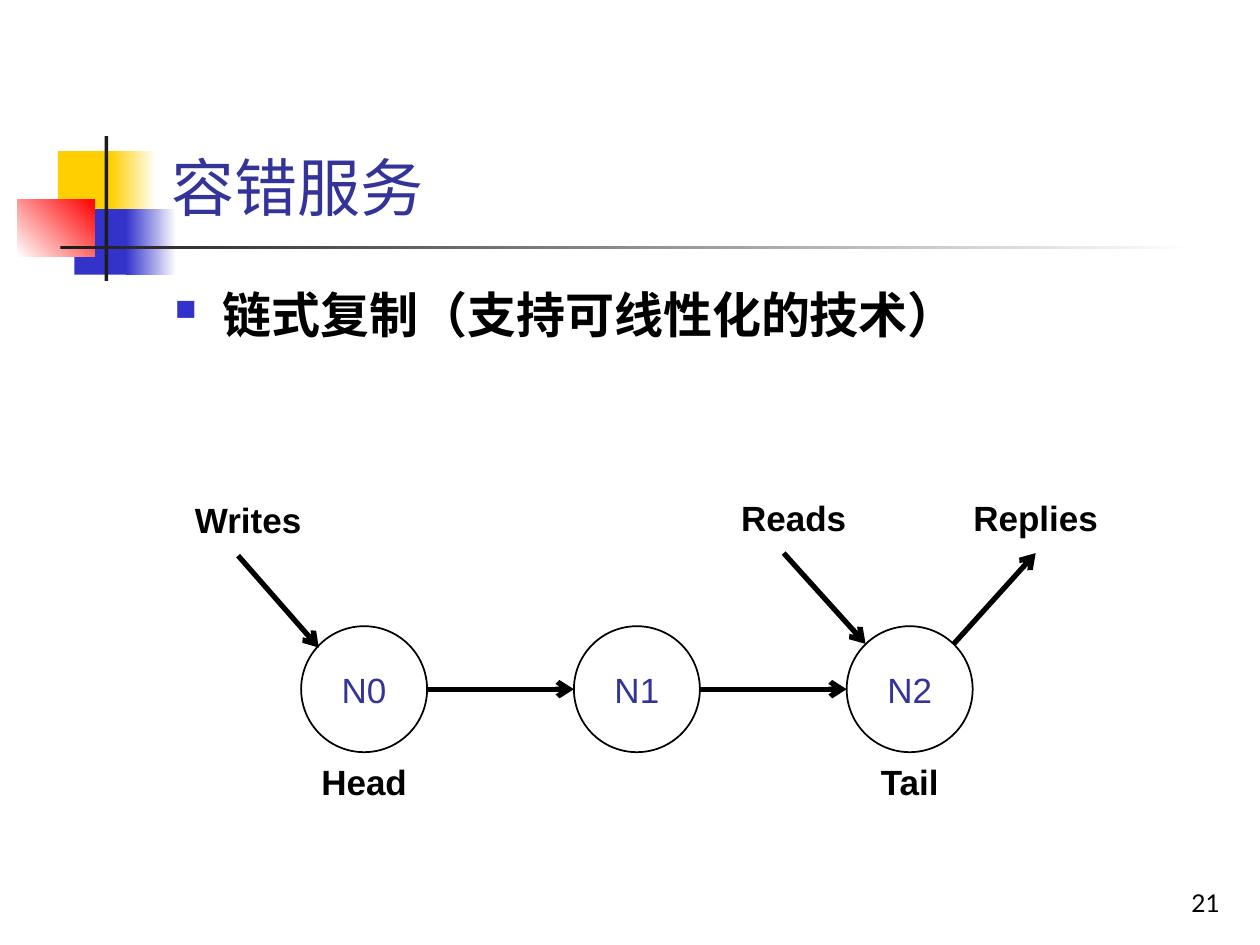
"""Build the chain replication slide."""
from lxml import etree
from pptx import Presentation
from pptx.dml.color import RGBColor
from pptx.enum.shapes import MSO_CONNECTOR, MSO_SHAPE
from pptx.enum.text import MSO_ANCHOR, PP_ALIGN
from pptx.oxml.ns import qn
from pptx.util import Inches, Pt

RECT, OVAL = MSO_SHAPE.RECTANGLE, MSO_SHAPE.OVAL
STRAIGHT = MSO_CONNECTOR.STRAIGHT
TOP, MIDDLE, BOTTOM = MSO_ANCHOR.TOP, MSO_ANCHOR.MIDDLE, MSO_ANCHOR.BOTTOM
LEFT, CENTER, RIGHT = PP_ALIGN.LEFT, PP_ALIGN.CENTER, PP_ALIGN.RIGHT

BLACK = RGBColor(0x00, 0x00, 0x00)
WHITE = RGBColor(0xFF, 0xFF, 0xFF)
YELLOW = RGBColor(0xFF, 0xCF, 0x01)
BLUE = RGBColor(0x33, 0x33, 0xCC)
RED = RGBColor(0xFF, 0x00, 0x00)
DARK = RGBColor(0x1C, 0x1C, 0x1C)
NAVY = RGBColor(0x33, 0x33, 0x99)

TITLE = "容错服务"
BULLET = "链式复制（支持可线性化的技术）"
PAGE = "21"
DECOR = [
    ((0.46, 1.2, 0.48, 0.52), (YELLOW,), 0),
    ((0.88, 1.2, 0.36, 0.52), (YELLOW, WHITE), 0),
    ((0.59, 1.66, 0.46, 0.52), (BLUE,), 0),
    ((1, 1.66, 0.4, 0.52), (BLUE, WHITE), 0),
    ((0.14, 1.58, 0.61, 0.46), (WHITE, RED), 45),
    ((0.83, 1.08, 0.03, 1.15), (DARK,), 0),
    ((0.48, 1.95, 9, 0.03), (DARK, WHITE), 0),
]
NODES = ["N0", "N1", "N2"]
NODE_X, NODE_Y, NODE_SIZE, NODE_STEP = 2.39, 4.97, 1, 2.165
LABEL_W, LABEL_H = 1.5, 0.44
ROLES = {0: "Head", 2: "Tail"}
ROLE_Y = 5.99
REQUESTS = [("Writes", 1.22, 3.91), ("Reads", 5.55, 3.89), ("Replies", 7.47, 3.89)]
DIAGONALS = [
    ((1.89, 4.41), (2.53, 5.14)),
    ((6.22, 4.39), (6.87, 5.11)),
    ((7.57, 5.11), (8.22, 4.39)),
]


def add_shape(s, kind, box, colors, angle=0):
    sp = s.shapes.add_shape(kind, *map(Inches, box))
    sp.shadow.inherit = False
    sp.line.fill.background()
    if len(colors) == 1:
        sp.fill.solid()
        sp.fill.fore_color.rgb = colors[0]
    else:
        sp.fill.gradient()
        sp.fill.gradient_angle = angle
        for stop, color, pos in zip(sp.fill.gradient_stops, colors, (0, 1)):
            stop.color.rgb = color
            stop.position = pos
    return sp


def write(sp, text, size, color, font="Arial", bold=False, align=CENTER, anchor=TOP):
    tf = sp.text_frame
    tf.word_wrap = True
    tf.vertical_anchor = anchor
    p = tf.paragraphs[0]
    p.alignment = align
    r = p.add_run()
    r.text = text
    r.font.size = Pt(size)
    r.font.name = font
    r.font.bold = bold
    r.font.color.rgb = color
    return p


def add_text(s, box, text, size, color, **style):
    sp = s.shapes.add_textbox(*map(Inches, box))
    return write(sp, text, size, color, **style)


def add_bullet(p, char, color, percent, indent):
    pPr = p._p.get_or_add_pPr()
    pPr.set("marL", str(Inches(indent)))
    pPr.set("indent", str(-Inches(indent)))
    clr = etree.SubElement(pPr, qn("a:buClr"))
    etree.SubElement(clr, qn("a:srgbClr"), val=str(color))
    etree.SubElement(pPr, qn("a:buSzPct"), val=str(percent * 1000))
    etree.SubElement(pPr, qn("a:buChar"), char=char)


def add_arrow(s, start, end):
    line = s.shapes.add_connector(STRAIGHT, *map(Inches, start + end))
    line.line.color.rgb = BLACK
    line.line.width = Pt(3)
    etree.SubElement(line.line._get_or_add_ln(), qn("a:tailEnd"), type="arrow")
    etree.SubElement(line._element.spPr, qn("a:effectLst"))


def main():
    prs = Presentation()
    prs.slide_width, prs.slide_height = Inches(10), Inches(7.5)
    s = prs.slides.add_slide(prs.slide_layouts[6])

    for box, colors, angle in DECOR:
        add_shape(s, RECT, box, colors, angle)
    add_text(s, (1.26, 0.23, 8.52, 1.6), TITLE, 36, NAVY, font="Lato",
             align=LEFT, anchor=BOTTOM)
    p = add_text(s, (1.29, 2.21, 8.5, 4.5), BULLET, 28, BLACK,
                 font="Times New Roman", bold=True, align=LEFT)
    add_bullet(p, "■", BLUE, 60, 0.38)
    add_text(s, (7.7, 6.83, 2.08, 0.5), PAGE, 14, BLACK, font="Lato",
             align=RIGHT, anchor=BOTTOM)

    mid_y = NODE_Y + NODE_SIZE / 2
    for i, name in enumerate(NODES):
        x = NODE_X + i * NODE_STEP
        sp = add_shape(s, OVAL, (x, NODE_Y, NODE_SIZE, NODE_SIZE), (WHITE,))
        sp.line.color.rgb = BLACK
        sp.line.width = Pt(1)
        write(sp, name, 20, NAVY, anchor=MIDDLE)
        if i:
            add_arrow(s, (x - NODE_STEP + NODE_SIZE, mid_y), (x, mid_y))
        if i in ROLES:
            left = x + (NODE_SIZE - LABEL_W) / 2
            add_text(s, (left, ROLE_Y, LABEL_W, LABEL_H), ROLES[i], 20, BLACK, bold=True)

    for start, end in DIAGONALS:
        add_arrow(s, start, end)
    for text, x, y in REQUESTS:
        add_text(s, (x, y, LABEL_W, LABEL_H), text, 20, BLACK, bold=True)

    prs.save("out.pptx")


if __name__ == "__main__":
    main()
